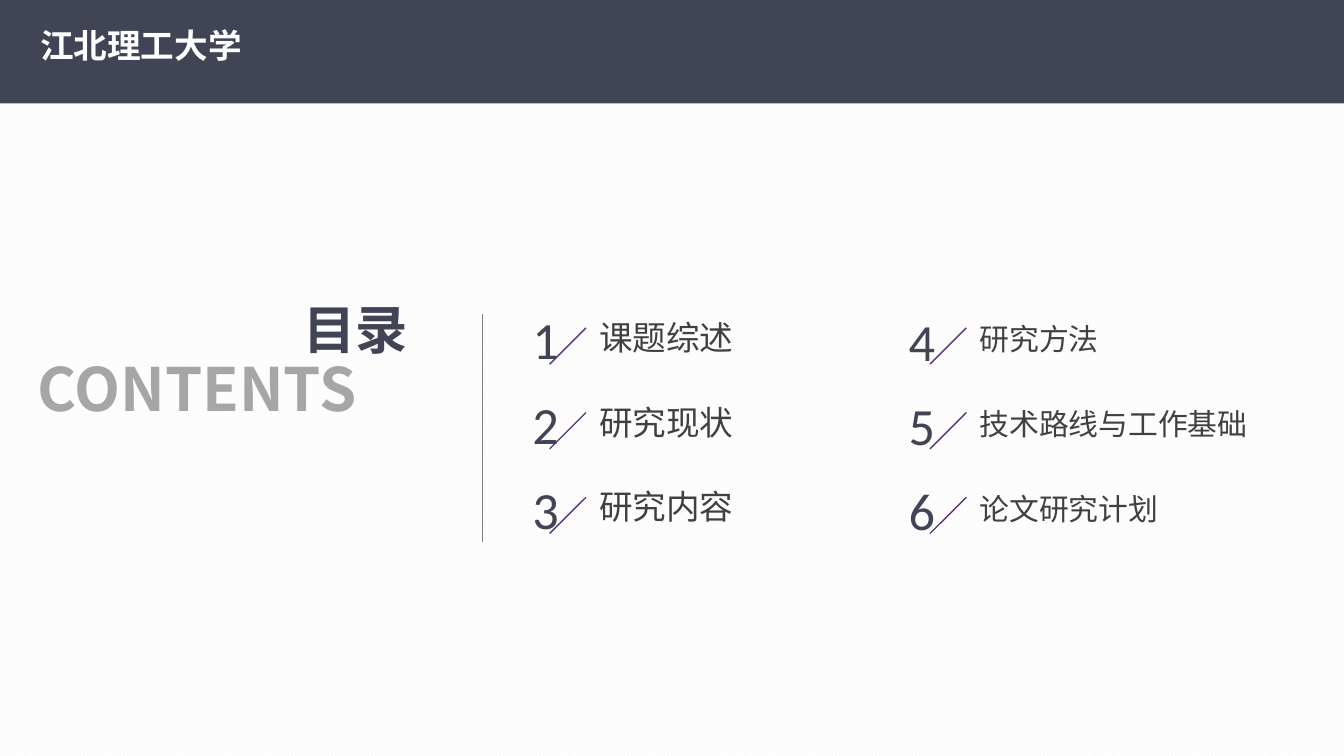
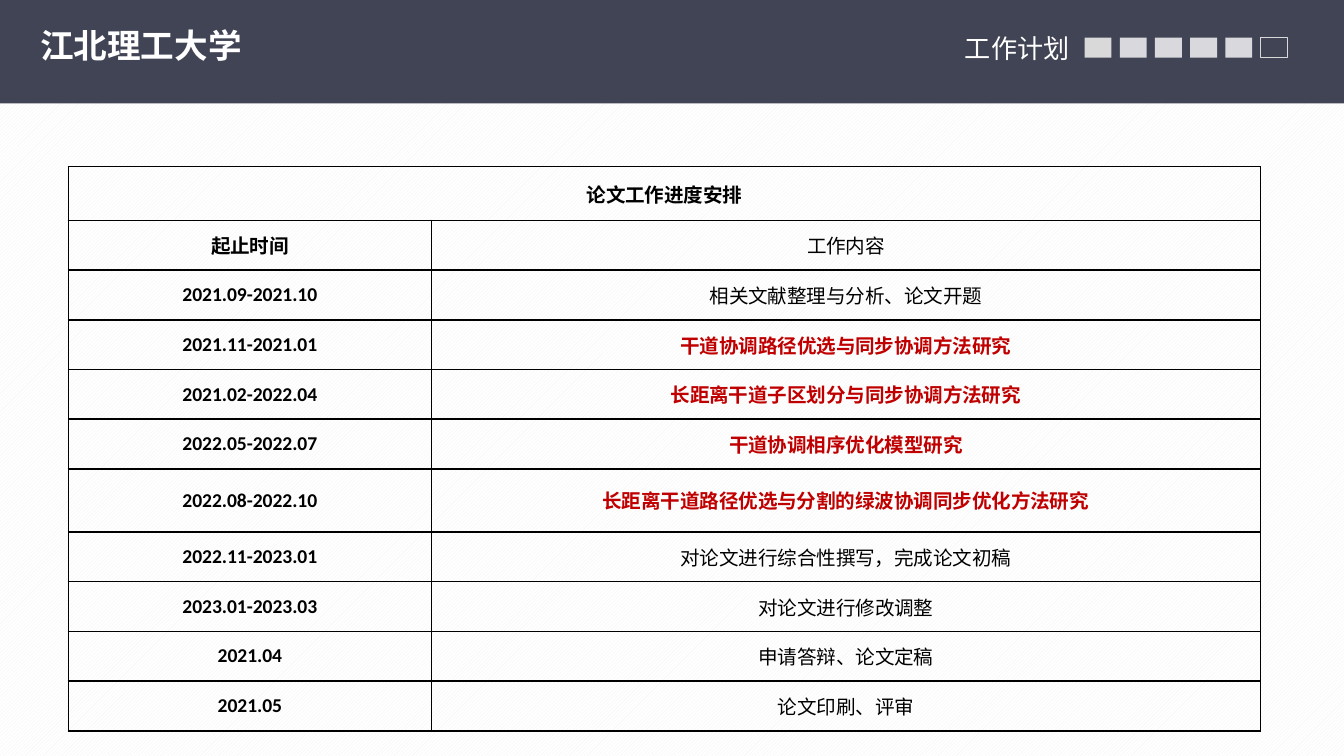
from lxml import etree
from pptx import Presentation
from pptx.dml.color import RGBColor
from pptx.enum.dml import MSO_PATTERN
from pptx.enum.shapes import MSO_CONNECTOR, MSO_SHAPE
from pptx.enum.text import MSO_ANCHOR, MSO_AUTO_SIZE, PP_ALIGN
from pptx.oxml import parse_xml
from pptx.oxml.ns import nsdecls, qn
from pptx.util import Inches, Pt

RECT = MSO_SHAPE.RECTANGLE
STRAIGHT = MSO_CONNECTOR.STRAIGHT
DIAGONAL = MSO_PATTERN.LIGHT_UPWARD_DIAGONAL
LEFT, CENTER = PP_ALIGN.LEFT, PP_ALIGN.CENTER
TOP, MIDDLE = MSO_ANCHOR.TOP, MSO_ANCHOR.MIDDLE
NO_FIT = MSO_AUTO_SIZE.NONE

CJK, LATIN = "Noto Sans CJK SC", "Calibri"
NAVY, WHITE, BLACK, RED = "414455", "FFFFFF", "000000", "C00000"
PURPLE, DARK, GREY, MID, LIGHT = "5C307D", "404040", "808080", "A6A6A6", "D9D9D9"
rgb = RGBColor.from_string


def write(tf, text, size, color, font=CJK, bold=False, align=LEFT, wrap=True):
    """Fill a text frame with one formatted paragraph."""
    tf.text = text
    tf.word_wrap = wrap
    p = tf.paragraphs[0]
    p.alignment = align
    r = p.runs[0]
    r.font.size, r.font.bold, r.font.name = Pt(size), bold, font
    r.font.color.rgb = rgb(color)
    etree.SubElement(r.font._element, qn("a:ea"), typeface=CJK)


def add_line(s, x1, y1, x2, y2, color):
    """Draw a thin straight line without a shadow."""
    line = s.shapes.add_connector(STRAIGHT, Inches(x1), Inches(y1), Inches(x2), Inches(y2))
    line.line.color.rgb = rgb(color)
    line.line.width = Pt(0.75)
    etree.SubElement(line._element.spPr, qn("a:effectLst"))


# A 16:9 page
prs = Presentation()
prs.slide_width = Inches(10)
prs.slide_height = Inches(10) * 9 // 16
layout = prs.slide_layouts.get_by_name("Title Only")

# Shared background
fill = prs.slide_master.background.fill
fill.patterned()
fill.pattern = DIAGONAL
fill.fore_color.rgb, fill.back_color.rgb = rgb("F2F2F2"), rgb(WHITE)

# Slides with their titles
titles = [
    ("目录", (2.16, 2.16, 0.99, 0.57), 28, NAVY, True),
    ("工作计划", (7.08, 0.19, 0.99, 0.34), 14, WHITE, False),
]
slides = []
for text, box, size, color, bold in titles:
    s = prs.slides.add_slide(layout)
    title = s.shapes.title
    title.left, title.top, title.width, title.height = [Inches(v) for v in box]
    tf = title.text_frame
    write(tf, text, size, color, bold=bold, wrap=False)
    tf.auto_size, tf.vertical_anchor = NO_FIT, TOP
    slides.append(s)
contents, plan = slides

# Shared band and school name, moved to the layout behind its placeholders
band = contents.shapes.add_shape(RECT, 0, 0, prs.slide_width, Inches(0.77))
band.shadow.inherit = False
band.fill.solid()
band.fill.fore_color.rgb = rgb(NAVY)
band.line.fill.background()
school = contents.shapes.add_textbox(Inches(0.2), Inches(0.14), Inches(3.94), Inches(0.4))
write(school.text_frame, "江北理工大学", 18, WHITE, LATIN, bold=True)
for i, shape in enumerate((band, school)):
    shape._element.nvSpPr.cNvPr.id = 100 + i
    layout.shapes._spTree.insert(2 + i, shape._element)

# Slide 1: contents
s = contents
tb = s.shapes.add_textbox(Inches(0.18), Inches(2.57), Inches(3.42), Inches(0.64))
write(tb.text_frame, "CONTENTS", 32, MID, bold=True)
add_line(s, 3.59, 2.34, 3.59, 4.03, GREY)

# number x, number y, label x, label y, label size, label height, labels with widths
columns = [
    (3.86, 2.24, 4.36, 2.31, 18, 0.4,
     [("课题综述", 1.21), ("研究现状", 1.21), ("研究内容", 1.21)]),
    (6.66, 2.25, 7.19, 2.34, 16, 0.37,
     [("研究方法", 1.1), ("技术路线与工作基础", 2.22), ("论文研究计划", 1.55)]),
]
ROW_STEP, SLASH = 0.63, 0.27
number = 0
for num_x, num_y, label_x, label_y, size, height, labels in columns:
    for row, (label, width) in enumerate(labels):
        number += 1
        dy = row * ROW_STEP
        tb = s.shapes.add_textbox(Inches(label_x), Inches(label_y + dy), Inches(width), Inches(height))
        write(tb.text_frame, label, size, DARK, wrap=False)
        tb = s.shapes.add_textbox(Inches(num_x), Inches(num_y + dy), Inches(0.4), Inches(0.57))
        write(tb.text_frame, str(number), 28, NAVY, LATIN, align=CENTER, wrap=False)
        slash_y = 2.44 + dy
        add_line(s, label_x, slash_y, label_x - SLASH, slash_y + SLASH, PURPLE)

# Slide 2: progress squares, the last one open
s = plan
SQUARES, FIRST_X, LAST_X = 6, 8.07, 9.38
step = (LAST_X - FIRST_X) / (SQUARES - 1)
for i in range(SQUARES):
    square = s.shapes.add_shape(RECT, Inches(FIRST_X + step * i), Inches(0.28), Inches(0.2), Inches(0.15))
    square.shadow.inherit = False
    if i == SQUARES - 1:
        square.fill.background()
        square.line.color.rgb = rgb(LIGHT)
        square.line.width = Pt(0.5)
        continue
    square.fill.solid()
    square.fill.fore_color.rgb = rgb(WHITE if i else LIGHT)
    square.line.fill.background()
    if i:
        color = square._element.spPr.find(".//" + qn("a:srgbClr"))
        etree.SubElement(color, qn("a:alpha"), val="80000")

# Slide 2: schedule, with the key research stages in bold red
schedule = [
    ("论文工作进度安排", "", False),
    ("起止时间", "工作内容", False),
    ("2021.09-2021.10", "相关文献整理与分析、论文开题", False),
    ("2021.11-2021.01", "干道协调路径优选与同步协调方法研究", True),
    ("2021.02-2022.04", "长距离干道子区划分与同步协调方法研究", True),
    ("2022.05-2022.07", "干道协调相序优化模型研究", True),
    ("2022.08-2022.10", "长距离干道路径优选与分割的绿波协调同步优化方法研究", True),
    ("2022.11-2023.01", "对论文进行综合性撰写，完成论文初稿", False),
    ("2023.01-2023.03", "对论文进行修改调整", False),
    ("2021.04", "申请答辩、论文定稿", False),
    ("2021.05", "论文印刷、评审", False),
]
ROW_HEIGHT, TALL_ROWS = 0.37, {0: 0.4, 6: 0.47}
frame = s.shapes.add_table(len(schedule), 2, Inches(0.51), Inches(1.24), Inches(8.87), Inches(4.19))
table = frame.table
table.first_row = table.horz_banding = False
table.columns[0].width, table.columns[1].width = Inches(2.7), Inches(6.17)
table.cell(0, 0).merge(table.cell(0, 1))
for row, (period, work, key) in enumerate(schedule):
    table.rows[row].height = Inches(TALL_ROWS.get(row, ROW_HEIGHT))
    for col, text in enumerate((period, work)):
        cell = table.cell(row, col)
        cell.margin_left = cell.margin_right = Inches(0.07)
        cell.margin_top = cell.margin_bottom = 0
        cell.vertical_anchor = MIDDLE
        if text:
            highlight = key and col == 1
            write(cell.text_frame, text, 10.5, RED if highlight else BLACK, LATIN,
                  bold=col == 0 or highlight, align=CENTER)
        tcPr = cell._tc.get_or_add_tcPr()
        for side in "LRTB":
            tcPr.append(parse_xml(
                f'<a:ln{side} {nsdecls("a")} w="12700"><a:solidFill>'
                f'<a:srgbClr val="{BLACK}"/></a:solidFill></a:ln{side}>'))
        cell.fill.background()

prs.save("out.pptx")
